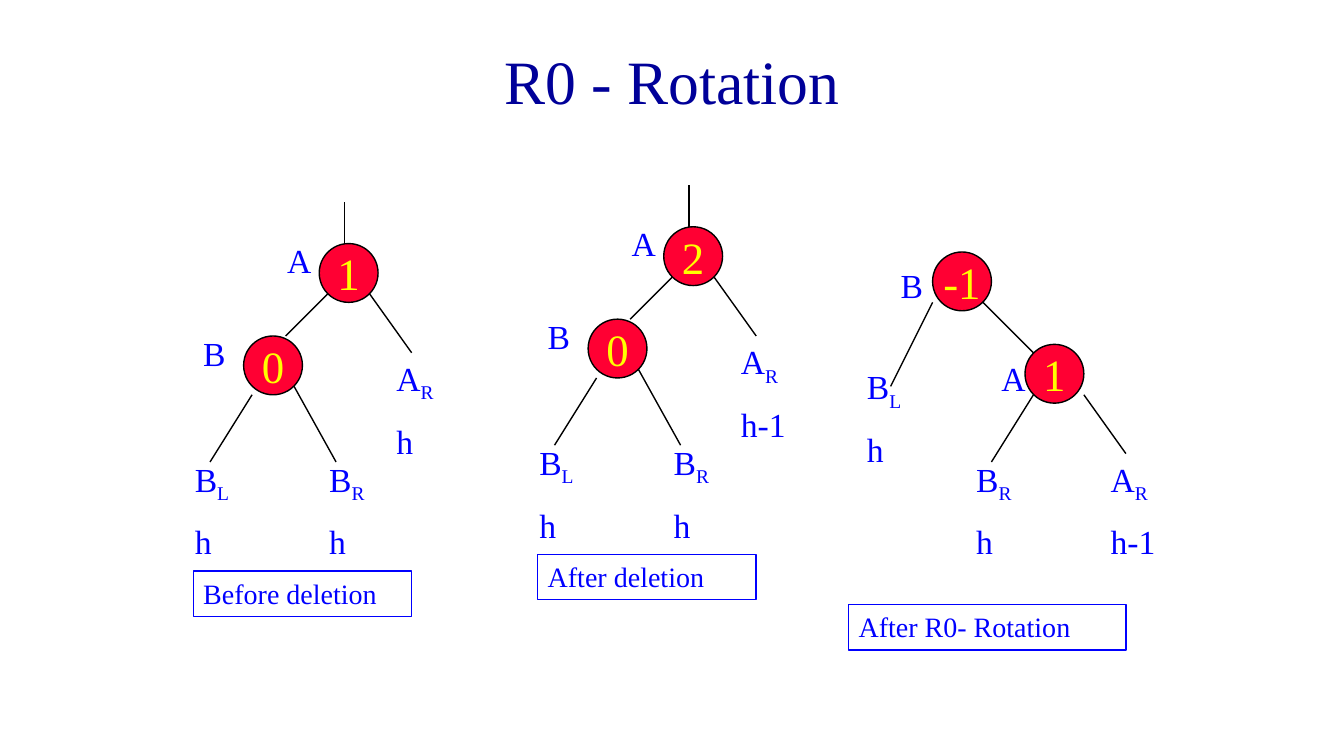
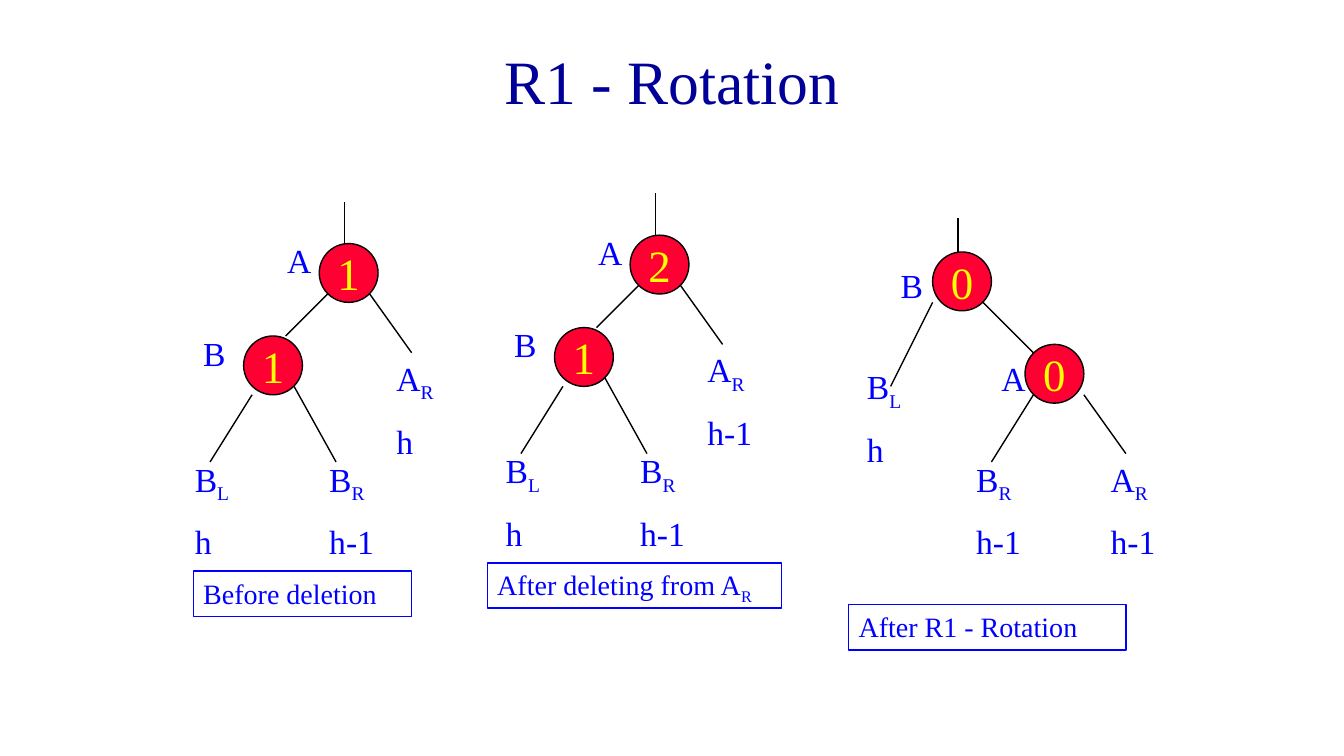
from dataclasses import dataclass

from lxml import etree
from pptx import Presentation
from pptx import util as u
from pptx.dml.color import RGBColor
from pptx.enum import shapes, text
from pptx.oxml.ns import qn


@dataclass(frozen=True)
class Theme:
    """Colours, font and type sizes shared by the slides."""
    font: str = "Times New Roman"
    title: str = "000099"
    label: str = "0000FF"
    node: str = "FF0033"
    balance: str = "FFFF00"
    edge: str = "000000"
    title_size: int = 44
    balance_size: int = 32
    label_size: int = 24
    caption_size: int = 20
    line_width: int = 1


class TreeDeck:
    """Draws rotation trees on a grid of twelfths of an inch."""

    def __init__(self, theme):
        """Open a widescreen deck."""
        self.theme = theme
        self.deck = Presentation()
        self.deck.slide_width, self.deck.slide_height = u.Inches(13.33), u.Inches(7.5)
        self.slide = None
        self.root = (0, 0)

    def place(self, x, y):
        """Turn grid steps from the current root into a slide position."""
        return [u.Inches((start + step) / 12) for start, step in zip(self.root, (x, y))]

    def style(self, run, size, colour):
        """Give a run the theme font with a size and colour."""
        run.font.name = self.theme.font
        run.font.size = u.Pt(size)
        run.font.color.rgb = RGBColor.from_string(colour)

    def outline(self, line, colour):
        """Set the colour and the common width of a line."""
        line.color.rgb = RGBColor.from_string(colour)
        line.width = u.Pt(self.theme.line_width)

    def title(self, heading):
        """Start a slide with its centred title."""
        self.slide = self.deck.slides.add_slide(self.deck.slide_layouts[5])
        title = self.slide.shapes.title
        title.left, title.top = u.Inches(1), u.Inches(0.17)
        title.width, title.height = u.Inches(11.33), u.Inches(1.25)
        frame = title.text_frame
        frame.text = heading
        frame.auto_size = text.MSO_AUTO_SIZE.NONE
        frame.vertical_anchor = text.MSO_ANCHOR.MIDDLE
        frame.paragraphs[0].alignment = text.PP_ALIGN.CENTER
        self.style(frame.paragraphs[0].runs[0], self.theme.title_size, self.theme.title)

    def node(self, x, y, balance):
        """Draw a tree node with its balance factor."""
        diameter = u.Inches(7 / 12)
        node = self.slide.shapes.add_shape(
            shapes.MSO_SHAPE.OVAL, *self.place(x, y), diameter, diameter)
        node.shadow.inherit = False
        node.fill.solid()
        node.fill.fore_color.rgb = RGBColor.from_string(self.theme.node)
        self.outline(node.line, self.theme.edge)
        frame = node.text_frame
        frame.text = balance
        frame.word_wrap = False
        frame.vertical_anchor = text.MSO_ANCHOR.MIDDLE
        frame.paragraphs[0].alignment = text.PP_ALIGN.CENTER
        self.style(frame.paragraphs[0].runs[0], self.theme.balance_size, self.theme.balance)

    def edge(self, x1, y1, x2, y2):
        """Draw a straight edge between two grid points."""
        edge = self.slide.shapes.add_connector(
            shapes.MSO_CONNECTOR.STRAIGHT, *self.place(x1, y1), *self.place(x2, y2))
        self.outline(edge.line, self.theme.edge)
        etree.SubElement(edge.element.spPr, qn("a:effectLst"))

    def fill_text(self, frame, lines, size):
        """Set left-aligned lines, with an underscore before a subscript."""
        frame.word_wrap = True
        frame.auto_size = text.MSO_AUTO_SIZE.SHAPE_TO_FIT_TEXT
        frame.vertical_anchor = text.MSO_ANCHOR.TOP
        frame.text = "\n".join(line.partition("_")[0] for line in lines)
        for paragraph, line in zip(frame.paragraphs, lines):
            paragraph.alignment = text.PP_ALIGN.LEFT
            before = etree.SubElement(paragraph._p.get_or_add_pPr(), qn("a:spcBef"))
            etree.SubElement(before, qn("a:spcPct")).set("val", "50000")
            subscript = line.partition("_")[2]
            if subscript:
                run = paragraph.add_run()
                run.text = subscript
                run._r.get_or_add_rPr().set("baseline", "-25000")
            for run in paragraph.runs:
                self.style(run, size, self.theme.label)

    def label(self, x, y, name):
        """Name a node."""
        box = self.slide.shapes.add_textbox(*self.place(x, y), u.Inches(0.5), u.Inches(0.5))
        self.fill_text(box.text_frame, [name], self.theme.label_size)

    def subtree(self, x, y, name, height):
        """Name a subtree and give its height below."""
        box = self.slide.shapes.add_textbox(*self.place(x, y), u.Inches(0.75), u.Inches(1.11))
        self.fill_text(box.text_frame, [name, height], self.theme.label_size)

    def caption(self, x, y, width, words):
        """Draw a framed caption."""
        box = self.slide.shapes.add_shape(
            shapes.MSO_SHAPE.RECTANGLE, *self.place(x, y), u.Inches(width / 12), u.Inches(0.45))
        box.shadow.inherit = False
        box.fill.background()
        self.outline(box.line, self.theme.label)
        self.fill_text(box.text_frame, [words], self.theme.caption_size)

    def unrotated(self, root, balances, heights, words, caption_x=-15, caption_width=26):
        """Draw the tree with A at the root and B as its left child."""
        self.root = root
        for (x, y), balance in zip(((0, 0), (-9, 11)), balances):
            self.node(x, y, balance)
        for ends in ((1, 6, -4, 11), (6, 6, 11, 13), (3, 0, 3, -5),
                     (-8, 18, -13, 26), (-3, 17, 2, 26)):
            self.edge(*ends)
        self.label(-15, 10, "B")
        self.label(-5, -1, "A")
        places = ((-16, 25, "B_L"), (0, 25, "B_R"), (8, 13, "A_R"))
        for place, height in zip(places, heights):
            self.subtree(*place, height)
        self.caption(caption_x, 39, caption_width, words)

    def rotated(self, balances, heights, words, stem=False):
        """Draw the tree with B at the root and A as its right child."""
        self.root = (111, 30)
        for (x, y), balance in zip(((0, 0), (11, 11)), balances):
            self.node(x, y, balance)
        for ends in ((6, 6, 12, 12), (0, 6, -5, 16), (12, 17, 7, 25), (18, 17, 23, 24)):
            self.edge(*ends)
        if stem:
            self.edge(3, 0, 3, -4)
        places = ((-9, 13, "B_L"), (4, 24, "B_R"), (20, 24, "A_R"))
        for place, height in zip(places, heights):
            self.subtree(*place, height)
        self.label(-5, 1, "B")
        self.label(7, 12, "A")
        self.caption(-10, 42, 33, words)


def main():
    """Build both rotation slides."""
    trees = TreeDeck(Theme())

    trees.title("R0 - Rotation")
    trees.unrotated((38, 29), ("1", "0"), ("h", "h", "h"), "Before deletion")
    trees.unrotated((79, 27), ("2", "0"), ("h", "h", "h-1"), "After deletion")
    trees.rotated(("-1", "1"), ("h", "h", "h-1"), "After R0- Rotation")

    trees.title("R1 - Rotation")
    trees.unrotated((38, 29), ("1", "1"), ("h", "h-1", "h"), "Before deletion")
    trees.unrotated((75, 28), ("2", "1"), ("h", "h-1", "h-1"),
                    "After deleting from A_R", caption_x=-17, caption_width=35)
    trees.rotated(("0", "0"), ("h", "h-1", "h-1"), "After R1 - Rotation", stem=True)

    trees.deck.save("out.pptx")


if __name__ == "__main__":
    main()
